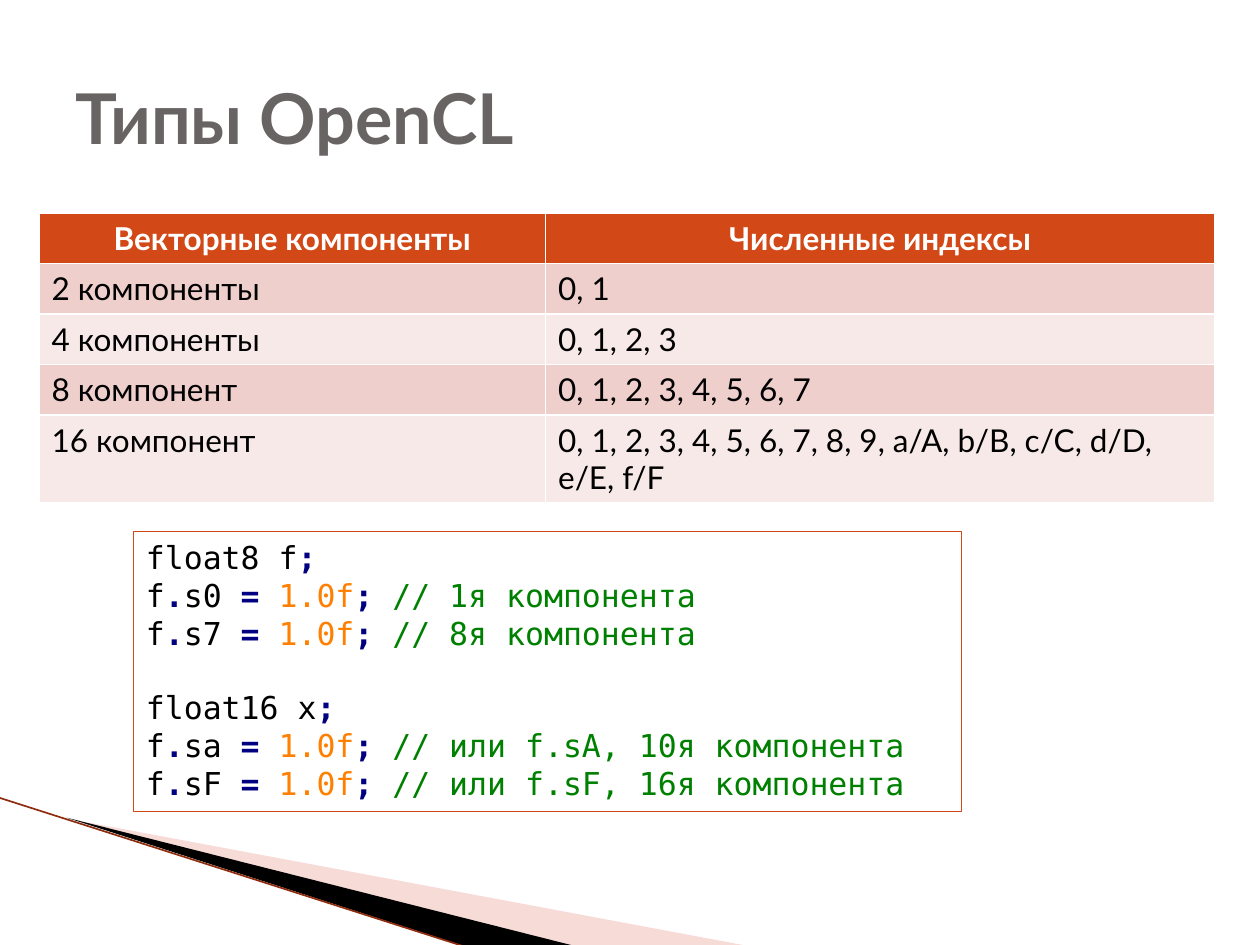
from lxml import etree
from pptx import Presentation
from pptx import util as u
from pptx.dml.color import RGBColor
from pptx.enum import shapes, text
from pptx.oxml.ns import qn

# Content
TITLE = "Типы OpenCL"
ROWS = [
    ("Векторные компоненты", "Численные индексы"),
    ("2 компоненты", "0, 1"),
    ("4 компоненты", "0, 1, 2, 3"),
    ("8 компонент", "0, 1, 2, 3, 4, 5, 6, 7"),
    ("16 компонент", "0, 1, 2, 3, 4, 5, 6, 7, 8, 9, a/A, b/B, c/C, d/D, e/E, f/F"),
]
# Each block: declared type, variable, then (field, comment) assignments
CODE_BLOCKS = [
    ("float8", "f", [("s0", "1я компонента"), ("s7", "8я компонента")]),
    ("float16", "x", [("sa", "или f.sA, 10я компонента"),
                      ("sF", "или f.sF, 16я компонента")]),
]

# Style
BODY_FONT, CODE_FONT = "Lato", "DejaVu Sans Mono"
ACCENT, BLACK, WHITE = "D34817", "000000", "FFFFFF"
BANDS = ("EFCFCC", "F7E9E8")
PLAIN, OPERATOR, NUMBER, COMMENT = BLACK, "000080", "FF8000", "008000"

# Layout in inches
COLUMN_WIDTHS = (4.02, 5.31)
ROW_HEIGHTS = (0.39, 0.4, 0.4, 0.4, 0.7)
WEDGES = [
    ([(0.55, 6.5), (5.95, 7.51), (4.56, 7.51)], "E9A59D", 40),
    ([(0.53, 6.49), (4.57, 7.51), (3.72, 7.52)], BLACK, 100),
]


def color(value):
    return RGBColor.from_string(value)


def inches(*values):
    return [u.Inches(value) for value in values]


def style(run, font, size, value, bold=False):
    run.font.name, run.font.size, run.font.bold = font, u.Pt(size), bold
    run.font.color.rgb = color(value)


def add_wedge(slide, points, fill, opacity):
    corners = [tuple(inches(*point)) for point in points]
    builder = slide.shapes.build_freeform(*corners[0])
    builder.add_line_segments(corners[1:], close=True)
    shape = builder.convert_to_shape()
    shape.shadow.inherit = False
    shape.line.fill.background()
    shape.fill.solid()
    shape.fill.fore_color.rgb = color(fill)
    if opacity < 100:
        rgb = shape.fill._xPr.find(".//" + qn("a:srgbClr"))
        etree.SubElement(rgb, qn("a:alpha")).set("val", str(opacity * 1000))


def add_decoration(slide):
    for wedge in WEDGES:
        add_wedge(slide, *wedge)
    edge = slide.shapes.add_connector(
        shapes.MSO_CONNECTOR.STRAIGHT, *inches(-0.01, 6.33, 3.71, 7.52))
    edge.line.color.rgb = color("8E2D0E")
    edge.line.width = u.Pt(0.95)
    etree.SubElement(edge._element.spPr, qn("a:effectLst"))


def add_title(slide):
    frame = slide.shapes.add_textbox(*inches(0.5, 0.3, 9, 1.25)).text_frame
    frame.word_wrap = True
    frame.vertical_anchor = text.MSO_ANCHOR.MIDDLE
    frame.text = TITLE
    style(frame.paragraphs[0].runs[0], BODY_FONT, 40, "696464", True)


def add_index_table(slide):
    table = slide.shapes.add_table(
        len(ROWS), len(COLUMN_WIDTHS),
        *inches(0.31, 1.69, sum(COLUMN_WIDTHS), sum(ROW_HEIGHTS))).table
    for column, width in zip(table.columns, COLUMN_WIDTHS):
        column.width = u.Inches(width)
    for i, (row, values) in enumerate(zip(table.rows, ROWS)):
        header = i == 0
        row.height = u.Inches(ROW_HEIGHTS[i])
        for cell, value in zip(row.cells, values):
            cell.text = value
            cell.fill.solid()
            cell.fill.fore_color.rgb = color(ACCENT if header else BANDS[(i - 1) % 2])
            paragraph = cell.text_frame.paragraphs[0]
            if header:
                paragraph.alignment = text.PP_ALIGN.CENTER
            style(paragraph.runs[0], BODY_FONT, 18, WHITE if header else BLACK, header)


def code_lines():
    """Yield (starts a later block, tokens) for every line of code."""
    for i, (kind, variable, assignments) in enumerate(CODE_BLOCKS):
        yield i > 0, [(f"{kind} {variable}", PLAIN), (";", OPERATOR)]
        for field, comment in assignments:
            yield False, [("f", PLAIN), (".", OPERATOR), (field + " ", PLAIN),
                          ("=", OPERATOR), (" ", PLAIN), ("1.0f", NUMBER),
                          (";", OPERATOR), (" ", PLAIN), ("// " + comment, COMMENT)]


def add_code(slide):
    box = slide.shapes.add_shape(
        shapes.MSO_SHAPE.RECTANGLE, *inches(1.06, 4.22, 6.57, 2.22))
    box.shadow.inherit = False
    box.fill.background()
    box.line.color.rgb = color(ACCENT)
    box.line.width = u.Pt(0.75)
    frame = box.text_frame
    frame.word_wrap = True
    frame.vertical_anchor = text.MSO_ANCHOR.TOP
    for i, (new_block, tokens) in enumerate(code_lines()):
        paragraph = frame.add_paragraph() if i else frame.paragraphs[0]
        paragraph.alignment = text.PP_ALIGN.LEFT
        if new_block:
            paragraph.space_before = u.Pt(21)
        for token, value in tokens:
            run = paragraph.add_run()
            run.text = token
            style(run, CODE_FONT, 18, value, value == OPERATOR)


def main():
    presentation = Presentation()
    presentation.slide_width, presentation.slide_height = inches(10, 7.5)
    slide = presentation.slides.add_slide(presentation.slide_layouts[6])
    add_decoration(slide)
    add_title(slide)
    add_code(slide)
    add_index_table(slide)
    presentation.save("out.pptx")


if __name__ == "__main__":
    main()
